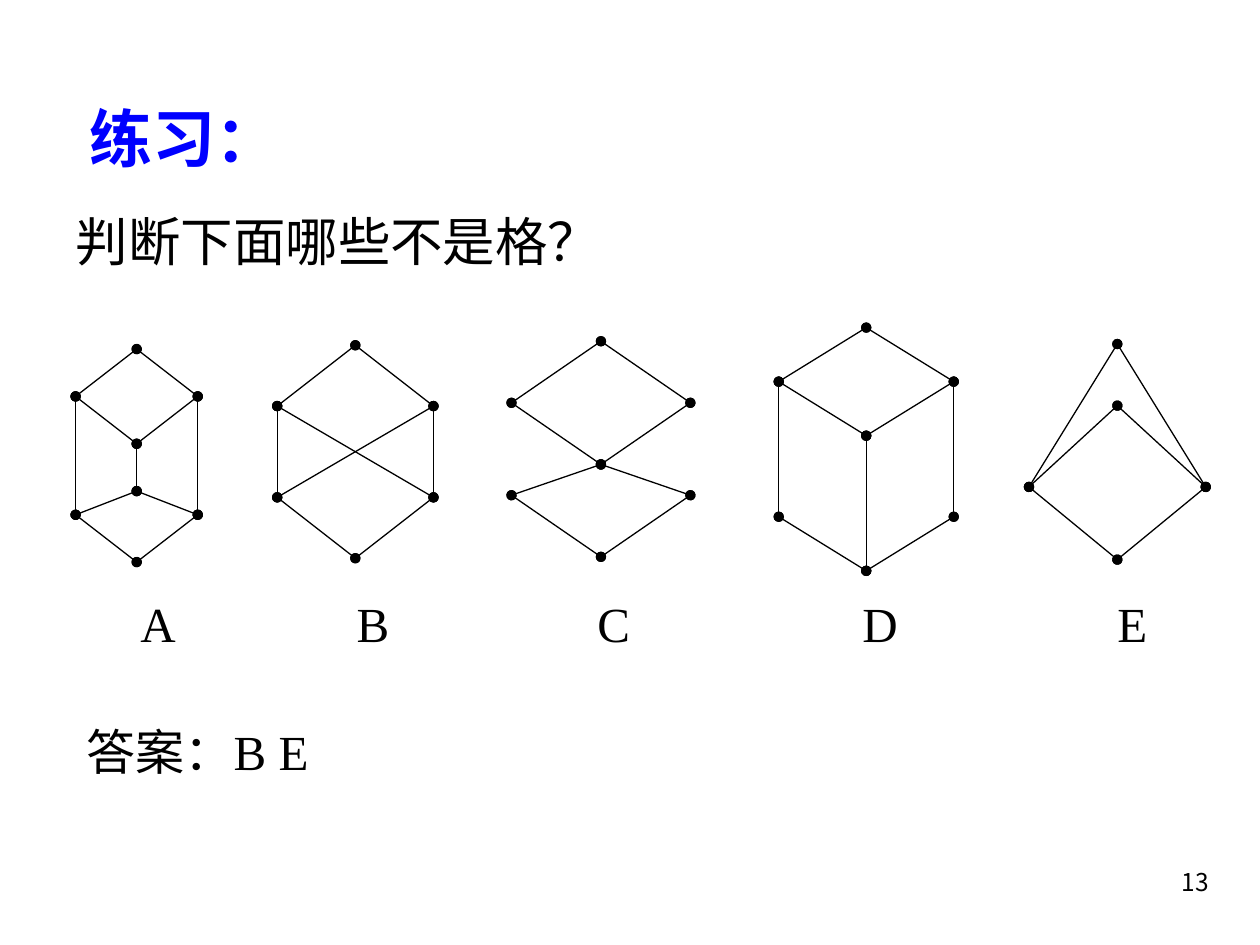
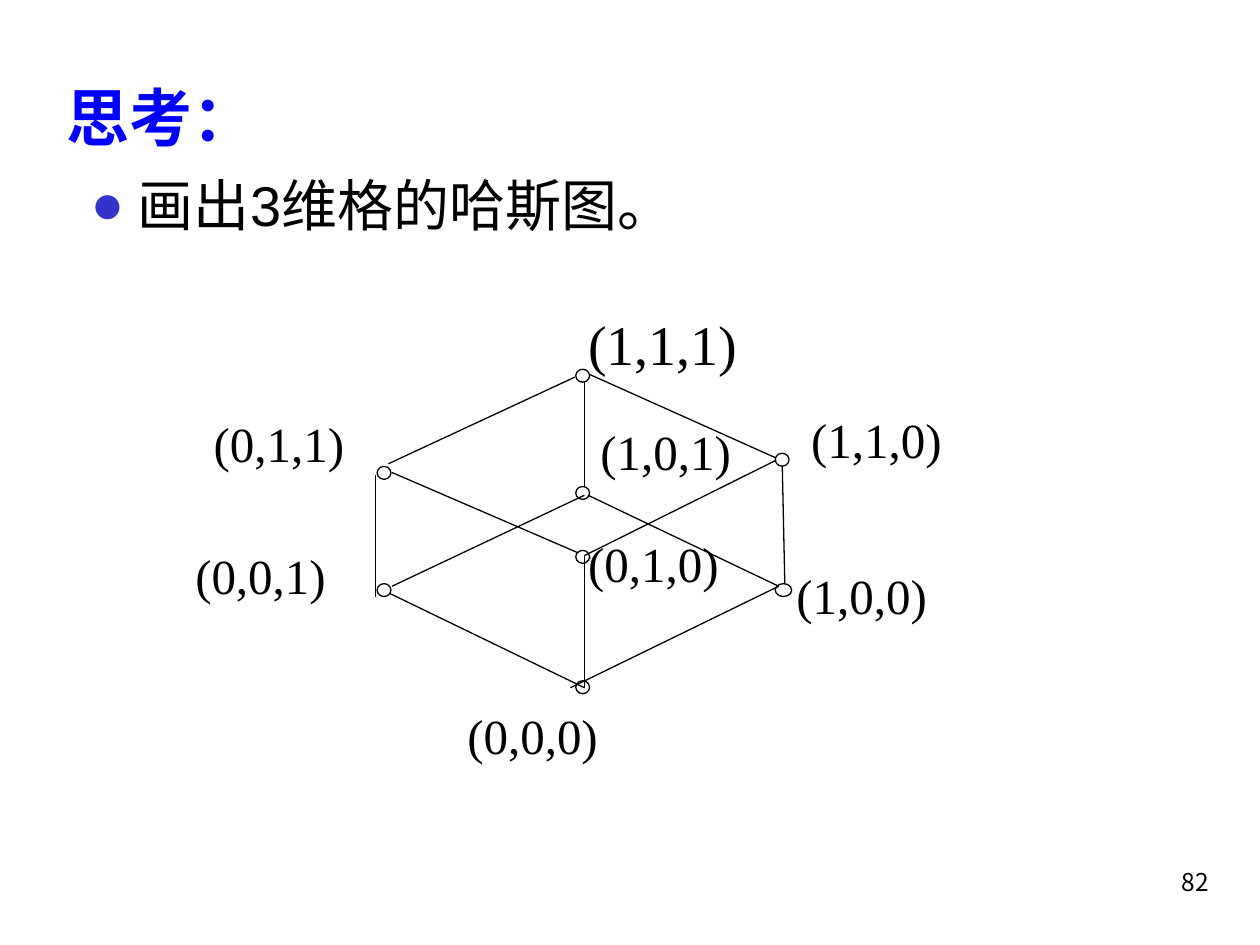
from lxml.etree import SubElement
from pptx import Presentation
from pptx.dml.color import RGBColor
from pptx.enum.shapes import MSO_CONNECTOR, MSO_SHAPE
from pptx.enum.text import MSO_ANCHOR, MSO_AUTO_SIZE, PP_ALIGN
from pptx.oxml.ns import qn
from pptx.util import Pt

BLACK, WHITE, TITLE_BLUE, BULLET_BLUE = "000000", "FFFFFF", "0000FF", "3333CC"
SERIF, SANS = "Times New Roman", "Arial"
CHINESE, NUMBER_FONT = "Noto Sans CJK SC", "Noto Sans CJK KR"
LINE_WIDTH = 0.75
NUMBER_BOX = (548, 492, 150, 36)

TITLE_STYLE = {"size": Pt(36), "bold": True, "name": SERIF}
QUESTION_STYLE = {"size": Pt(30), "name": CHINESE}
TASK_STYLE = {"size": Pt(32), "name": SANS}
LABEL_STYLE = {"size": Pt(28), "name": SERIF}
TOP_LABEL_STYLE = {"size": Pt(32), "name": SERIF}
NUMBER_STYLE = {"size": Pt(14), "name": NUMBER_FONT}

# Each diagram: letter, letter's shift from the box centre, box,
# number of rows, and edges between nodes.
# A node is a column (Left, Centre, Right) and a row.
COLUMNS = {"L": 0, "C": 0.5, "R": 1}
HASSE_DIAGRAMS = [
    ("A", 12.2, (43.2, 199.5, 69.8, 121.7), 4.5,
     "C0-L1 C0-R1 L1-C2 R1-C2 L1-L3.5 R1-R3.5 C2-C3 C3-L3.5 C3-R3.5 L3.5-C4.5 R3.5-C4.5"),
    ("B", 10.1, (158.4, 197.3, 89.3, 121.7), 7,
     "C0-L2 C0-R2 L2-L5 R2-R5 L2-R5 R2-L5 L5-C7 R5-C7"),
    ("C", 7.2, (292.3, 195, 102.2, 123.2), 7,
     "C0-L2 C0-R2 L2-C4 R2-C4 C4-L5 C4-R5 L5-C7 R5-C7"),
    ("D", 7.9, (445, 187.2, 100, 139), 9,
     "C0-L2 C0-R2 L2-C4 R2-C4 L2-L7 R2-R7 C4-C9 L7-C9 R7-C9"),
    ("E", 8.6, (588, 196.6, 101, 123.2), 7,
     "C0-L4.64 C0-R4.64 C2-L4.64 C2-R4.64 L4.64-C7 R4.64-C7"),
]
LETTER_TOP, LETTER_WIDTH, LETTER_HEIGHT = 335.5, 40, 40

CUBE_BOX = (100, 170, 470, 270)
# Label: circle left, top, width; label left, top, width
CUBE_VERTICES = {
    "(0,1,0)": ((229, 144.5, 7.9), (229, 131.5, 109)),
    "(1,0,1)": ((229, 108, 7.9), (236, 67.5, 112)),
    "(1,1,1)": ((229, 41, 7.9), (229, 3.5, 161)),
    "(0,1,1)": ((115.5, 96.5, 7.9), (15, 62.5, 125)),
    "(1,1,0)": ((343, 89, 7.9), (356.5, 60.5, 125)),
    "(0,0,1)": ((115.5, 163.5, 7.9), (4.5, 138, 149)),
    "(0,0,0)": ((229, 219, 7.9), (160, 229.5, 150)),
    "(1,0,0)": ((343, 163.5, 9.4), (348, 149.5, 123)),
}
CUBE_EDGES_BEHIND = [
    (234, 47.5, 234, 109.5), (124, 100, 237.5, 149), (347, 95.5, 348.5, 165),
]
CUBE_EDGES_FRONT = [
    (114.5, 101.5, 114.5, 171), (122.5, 169, 234, 223), (234, 147.5, 234, 223),
    (345, 165, 226, 223), (228.5, 45.5, 122, 95), (237, 44, 343, 91.5),
    (343.5, 93, 234, 147.5), (234, 113, 124, 165), (236, 113, 345, 165),
]


def color(hex_string):
    return RGBColor.from_string(hex_string)


def apply_format(target, values):
    for name, value in values.items():
        setattr(target, name, value)


def place(shape, box):
    names = ("left", "top", "width", "height")
    apply_format(shape, {name: Pt(length) for name, length in zip(names, box)})


def write(paragraph, text, style, fill=BLACK, **layout):
    """Add one formatted run, using the Chinese font for East Asian letters."""
    apply_format(paragraph, layout)
    run = paragraph.add_run()
    run.text = text
    apply_format(run.font, style)
    run.font.color.rgb = color(fill)
    SubElement(run.font._element, qn("a:ea"), typeface=CHINESE)


def set_indent(paragraph, margin, first_line=0, bullet=None):
    properties = paragraph._p.get_or_add_pPr()
    properties.set("marL", str(Pt(margin)))
    properties.set("indent", str(Pt(first_line)))
    if bullet is None:
        SubElement(properties, qn("a:buNone"))
        return
    bullet_color = SubElement(properties, qn("a:buClr"))
    SubElement(bullet_color, qn("a:srgbClr"), val=BULLET_BLUE)
    SubElement(properties, qn("a:buFont"), typeface=SANS)
    SubElement(properties, qn("a:buChar"), char=bullet)


def add_line(slide, start, end, dotted=False):
    connector = slide.shapes.add_connector(
        MSO_CONNECTOR.STRAIGHT, *(Pt(length) for length in (*start, *end)))
    connector.line.color.rgb = color(BLACK)
    connector.line.width = Pt(LINE_WIDTH)
    if dotted:
        outline = connector.line._get_or_add_ln()
        for tag in ("a:headEnd", "a:tailEnd"):
            SubElement(outline, qn(tag), type="oval")
    SubElement(connector._element.spPr, qn("a:effectLst"))


def add_text(slide, box, text, style, alignment):
    text_box = slide.shapes.add_textbox(*(Pt(length) for length in box))
    text_box.text_frame.word_wrap = True
    write(text_box.text_frame.paragraphs[0], text, style, alignment=alignment)


def add_base_slide(presentation, title, title_box, body_box, number):
    """Add a slide with its title and number; return it with its body frame."""
    slide = presentation.slides.add_slide(presentation.slide_layouts[1])
    place(slide.shapes.title, title_box)
    title_frame = slide.shapes.title.text_frame
    apply_format(title_frame, {"auto_size": MSO_AUTO_SIZE.NONE,
                               "vertical_anchor": MSO_ANCHOR.MIDDLE})
    write(title_frame.paragraphs[0], title, TITLE_STYLE, TITLE_BLUE,
          alignment=PP_ALIGN.LEFT)
    body = slide.placeholders[1]
    place(body, body_box)
    body.text_frame.auto_size = MSO_AUTO_SIZE.NONE
    add_text(slide, NUMBER_BOX, number, NUMBER_STYLE, PP_ALIGN.RIGHT)
    return slide, body.text_frame


def add_hasse_diagram(slide, letter, letter_shift, box, row_count, edges):
    left, top, width, height = box

    def node_point(node):
        return (left + COLUMNS[node[0]] * width,
                top + float(node[1:]) / row_count * height)

    for edge in edges.split():
        start, end = edge.split("-")
        add_line(slide, node_point(start), node_point(end), dotted=True)
    letter_left = left + width / 2 + letter_shift - LETTER_WIDTH / 2
    add_text(slide, (letter_left, LETTER_TOP, LETTER_WIDTH, LETTER_HEIGHT),
             letter, LABEL_STYLE, PP_ALIGN.CENTER)


def add_cube(slide, box):
    left, top = box[:2]

    def add_edges(edges):
        for x1, y1, x2, y2 in edges:
            add_line(slide, (left + x1, top + y1), (left + x2, top + y2))

    add_edges(CUBE_EDGES_BEHIND)
    for label, (circle_spot, label_spot) in CUBE_VERTICES.items():
        x, y, width = label_spot
        style = TOP_LABEL_STYLE if label == "(1,1,1)" else LABEL_STYLE
        add_text(slide, (left + x, top + y, width, 60), label, style,
                 PP_ALIGN.JUSTIFY)
        x, y, width = circle_spot
        circle = slide.shapes.add_shape(
            MSO_SHAPE.OVAL, Pt(left + x), Pt(top + y), Pt(width), Pt(7.4))
        circle.shadow.inherit = False
        circle.fill.solid()
        circle.fill.fore_color.rgb = color(WHITE)
        circle.line.color.rgb = color(BLACK)
        circle.line.width = Pt(LINE_WIDTH)
    add_edges(CUBE_EDGES_FRONT)


def add_exercise_slide(presentation):
    slide, body = add_base_slide(
        presentation, "练习：", (44, 52.5, 631, 52), (36, 116, 667, 358.5), "13")
    question = body.paragraphs[0]
    set_indent(question, 0)
    write(question, "判断下面哪些不是格？", QUESTION_STYLE, space_before=Pt(0))
    answer = body.add_paragraph()
    set_indent(answer, 6.5)
    write(answer, "答案：B E", LABEL_STYLE, space_before=Pt(256.5))
    for diagram in HASSE_DIAGRAMS:
        add_hasse_diagram(slide, *diagram)


def add_cube_slide(presentation):
    slide, body = add_base_slide(
        presentation, "思考：", (31, 37.5, 612, 57.5), (44.6, 93.6, 654, 360), "82")
    task = body.paragraphs[0]
    set_indent(task, 27, -27, bullet="●")
    write(task, "画出3维格的哈斯图。", TASK_STYLE, space_before=Pt(0))
    add_cube(slide, CUBE_BOX)


def main():
    presentation = Presentation()
    apply_format(presentation, {"slide_width": Pt(720), "slide_height": Pt(540)})
    add_exercise_slide(presentation)
    add_cube_slide(presentation)
    presentation.save("out.pptx")


if __name__ == "__main__":
    main()
